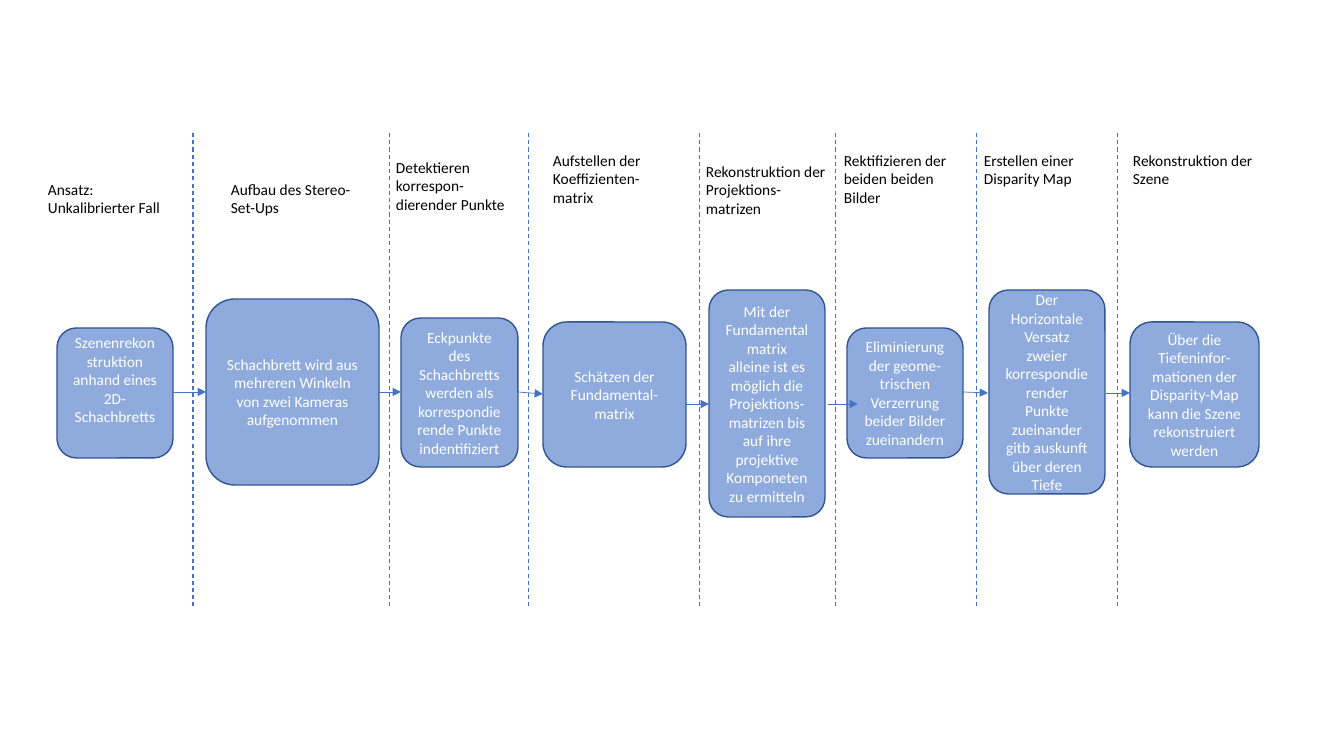
"""Build a slide showing the eight steps of an uncalibrated scene reconstruction."""
from lxml.etree import SubElement
from pptx import Presentation
from pptx.dml.color import RGBColor
from pptx.enum.dml import MSO_LINE
from pptx.enum.shapes import MSO_CONNECTOR, MSO_SHAPE
from pptx.enum.text import MSO_ANCHOR, MSO_AUTO_SIZE, PP_ALIGN
from pptx.oxml.ns import qn
from pptx.util import Pt

PIXEL = 914400 / 100.8
BOX_FILL = RGBColor(0x8F, 0xAA, 0xDC)
BOX_LINE = RGBColor(0x32, 0x54, 0x91)
LINE_BLUE = RGBColor(0x44, 0x72, 0xC4)
WHITE = RGBColor(0xFF, 0xFF, 0xFF)
BLACK = RGBColor(0x00, 0x00, 0x00)

STEPS = [
    ("Ansatz:\nUnkalibrierter Fall", (38, 175, 143, 67),
     "Szenenrekonstruktion anhand eines 2D-Schachbretts", (57, 328, 116, 130)),
    ("Aufbau des Stereo-Set-Ups", (221, 175, 143, 67),
     "Schachbrett wird aus mehreren Winkeln von zwei Kameras aufgenommen",
     (206, 299, 173, 186)),
    ("Detektieren korrespon-dierender Punkte", (386, 153, 143, 85),
     "Eckpunkte des Schachbretts werden als korrespondierende Punkte indentifiziert",
     (401, 318, 117, 149)),
    ("Aufstellen der Koeffizienten-matrix", (543, 146, 143, 97),
     "Schätzen der Fundamental-matrix", (543, 322, 143, 145)),
    ("Rekonstruktion der Projektions-matrizen", (696, 157, 143, 97),
     "Mit der Fundamentalmatrix alleine ist es möglich die Projektions-matrizen "
     "bis auf ihre projektive Komponeten zu ermitteln", (709, 290, 116, 227)),
    ("Rektifizieren der beiden beiden Bilder", (834, 146, 143, 97),
     "Eliminierung der geome-trischen Verzerrung beider Bilder zueinandern",
     (847, 328, 116, 130)),
    ("Erstellen einer Disparity Map", (974, 146, 143, 78),
     "Der Horizontale Versatz zweier korrespondierender Punkte zueinander gitb "
     "auskunft über deren Tiefe", (989, 290, 116, 204)),
    ("Rekonstruktion der Szene", (1123, 146, 179, 78),
     "Über die Tiefeninfor-mationen der Disparity-Map kann die Szene rekonstruiert "
     "werden", (1130, 322, 129, 145)),
]
DIVIDERS = [193, 390, 529, 700, 836, 977, 1118]
ARROWS = [
    (173, 392, 206, 392), (379, 392, 401, 392), (518, 392, 543, 394),
    (686, 404, 709, 404), (828, 404, 858, 404), (963, 392, 988, 393),
    (1106, 393, 1130, 393),
]

presentation = Presentation()
presentation.slide_width = round(1344 * PIXEL)
presentation.slide_height = round(756 * PIXEL)
slide = presentation.slides.add_slide(presentation.slide_layouts[6])


def write_text(shape, text, color, alignment):
    frame = shape.text_frame
    frame.text = text
    frame.word_wrap = True
    for paragraph in frame.paragraphs:
        paragraph.alignment = alignment
        for run in paragraph.runs:
            run.font.name = "Calibri"
            run.font.size = Pt(11)
            run.font.color.rgb = color
    return frame


def add_line(ends, width):
    connector = slide.shapes.add_connector(
        MSO_CONNECTOR.STRAIGHT, *(round(value * PIXEL) for value in ends))
    connector.line.color.rgb = LINE_BLUE
    connector.line.width = Pt(width)
    SubElement(connector._element.spPr, qn("a:effectLst"))
    return connector.line


boxes = []
for heading, heading_area, description, box_area in STEPS:
    label = slide.shapes.add_textbox(*(round(value * PIXEL) for value in heading_area))
    label_frame = write_text(label, heading, BLACK, PP_ALIGN.LEFT)
    label_frame.auto_size = MSO_AUTO_SIZE.SHAPE_TO_FIT_TEXT

    box = slide.shapes.add_shape(
        MSO_SHAPE.ROUNDED_RECTANGLE, *(round(value * PIXEL) for value in box_area))
    box.shadow.inherit = False
    box.fill.solid()
    box.fill.fore_color.rgb = BOX_FILL
    box.line.color.rgb = BOX_LINE
    box.line.width = Pt(1)
    box_frame = write_text(box, description, WHITE, PP_ALIGN.CENTER)
    box_frame.vertical_anchor = MSO_ANCHOR.MIDDLE
    boxes.append(box)

first_frame = boxes[0].text_frame
first_frame.vertical_anchor = MSO_ANCHOR.TOP
first_frame.margin_top = 0

for x in DIVIDERS:
    add_line((x, 133, x, 606), 0.75).dash_style = MSO_LINE.DASH

for ends in ARROWS:
    arrow_line = add_line(ends, 0.5)
    SubElement(arrow_line._get_or_add_ln(), qn("a:tailEnd"), type="triangle")

presentation.save("out.pptx")
